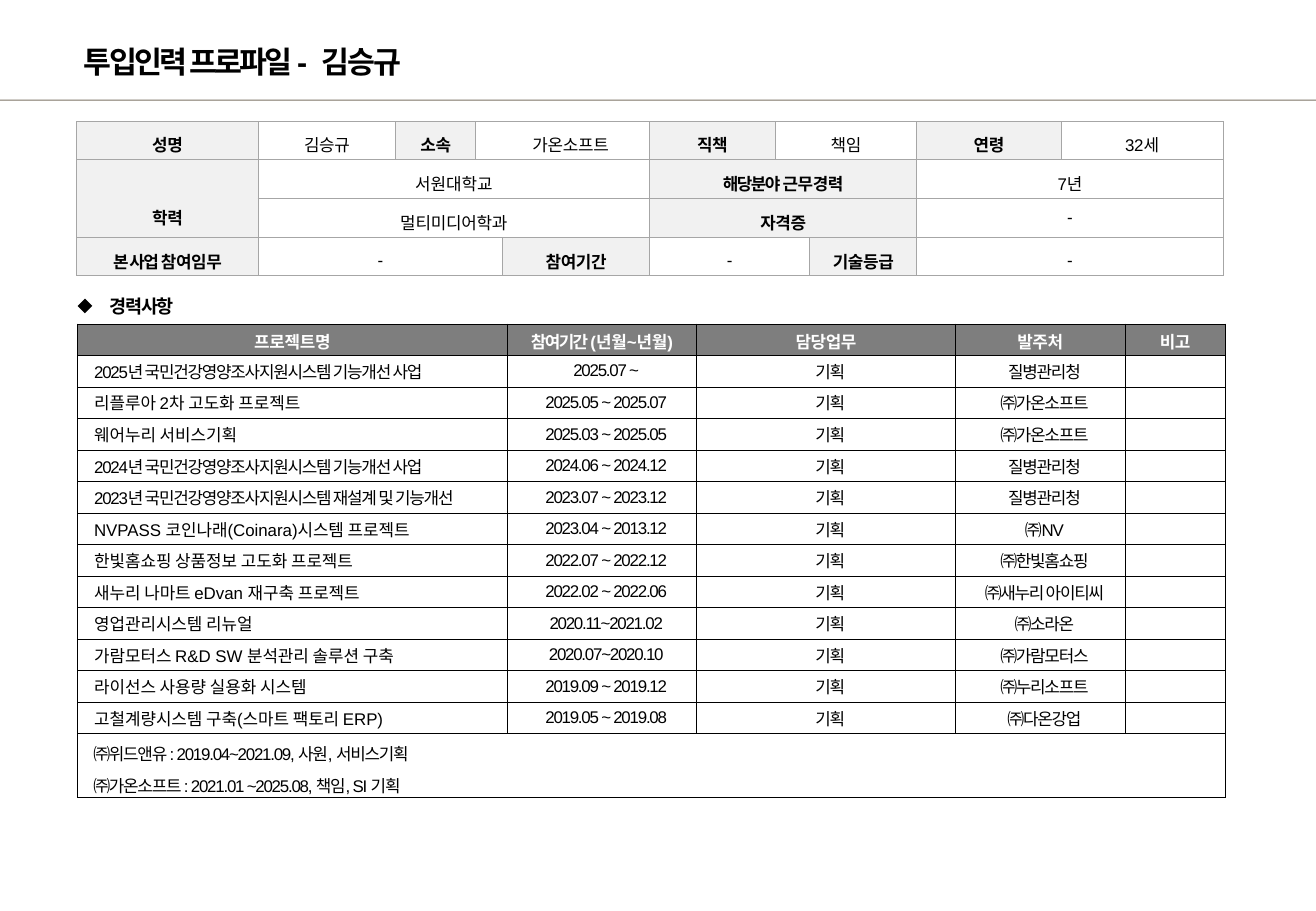
from lxml import etree
from pptx import Presentation, util as u
from pptx.dml.color import RGBColor
from pptx.enum import shapes, text
from pptx.oxml.ns import qn

BLACK = RGBColor(0, 0, 0)
WHITE = RGBColor(255, 255, 255)
RULE = RGBColor(0x7B, 0x73, 0x64)
LABEL = RGBColor(0xF1, 0xF1, 0xF1)
HEAD = RGBColor(0x7E, 0x7E, 0x7E)
EDGE = RGBColor(0xA6, 0xA6, 0xA6)

# Runs are (text, letter spacing in points)
TITLE = [("투입인력 프로파일 ", -1.6), ("- ", 1.6), ("김승규", -0.9)]
SECTION = [("경력사항", -0.7)]

# Each row alternates label and value: (runs, columns spanned)
PERSON = [
    [([("성명", -0.2)], 1), ([("김승규", -0.2)], 1),
     ([("소속", -0.2)], 1), ([("가온소프트", -0.1)], 2),
     ([("직책", -0.2)], 1), ([("책임", -0.2)], 2),
     ([("연령", -0.2)], 1), ([("32세", -0.2)], 1)],
    [([("학력", -0.2)], 1), ([("서원대학교", 0)], 4),
     ([("해당분야 ", -0.9), ("근무경력", -0.2)], 3), ([("7년", -0.8)], 2)],
    [([], 1), ([("멀티미디어학과", -0.1)], 4),
     ([("자격증", -0.2)], 3), ([("-", 0)], 2)],
    [([("본 사업 ", -0.9), ("참여임무", -0.2)], 1), ([("-", 0)], 3),
     ([("참여기간", -0.2)], 1), ([("-", 0)], 2),
     ([("기술등급", -0.2)], 1), ([("-", 0)], 2)],
]
PERSON_COLS = [107.5, 81.5, 47.5, 16, 87, 74.5, 20.5, 63.5, 85.5, 96]
PERSON_ROWS = [22.5, 23, 23.5, 22.5]

HEADS = [
    [("프로젝트명", -0.1)],
    [("참여기간 ", -0.9), ("(년월~년월)", -0.1)],
    [("담당업무", -0.2)], [("발주처", -0.2)], [("비고", -0.2)],
]
DUTY = "기획"
JOBS = [
    ("2025년 국민건강영양조사지원시스템 기능개선 사업", "2025.07 ~", "질병관리청"),
    ("리플루아 2차 고도화 프로젝트", "2025.05 ~ 2025.07", "㈜가온소프트"),
    ("웨어누리 서비스기획", "2025.03 ~ 2025.05", "㈜가온소프트"),
    ("2024년 국민건강영양조사지원시스템 기능개선 사업", "2024.06 ~ 2024.12", "질병관리청"),
    ("2023년 국민건강영양조사지원시스템 재설계 및 기능개선", "2023.07 ~ 2023.12", "질병관리청"),
    ("NVPASS 코인나래(Coinara)시스템 프로젝트", "2023.04 ~ 2013.12", "㈜NV"),
    ("한빛홈쇼핑 상품정보 고도화 프로젝트", "2022.07 ~ 2022.12", "㈜한빛홈쇼핑"),
    ("새누리 나마트 eDvan 재구축 프로젝트", "2022.02 ~ 2022.06", "㈜새누리 아이티씨"),
    ("영업관리시스템 리뉴얼", "2020.11~2021.02", "㈜소라온"),
    ("가람모터스 R&D SW 분석관리 솔루션 구축", "2020.07~2020.10", "㈜가람모터스"),
    ("라이선스 사용량 실용화 시스템", "2019.09 ~ 2019.12", "㈜누리소프트"),
    ("고철계량시스템 구축(스마트 팩토리 ERP)", "2019.05 ~ 2019.08", "㈜다온강업"),
]
CAREER = [
    "㈜위드앤유 : 2019.04~2021.09, 사원, 서비스기획",
    "㈜가온소프트 : 2021.01 ~2025.08, 책임, SI 기획",
]
JOB_COLS = [255, 112, 153.5, 100.5, 59.5]
JOB_ROWS = [18.7] * (len(JOBS) + 1) + [37.4]

LEFT, MID = text.PP_ALIGN.LEFT, text.PP_ALIGN.CENTER
TOP, CORE, BASE = (text.MSO_ANCHOR.TOP, text.MSO_ANCHOR.MIDDLE,
                   text.MSO_ANCHOR.BOTTOM)


def format_all(item, **values):
    for name, value in values.items():
        setattr(item, name, value)


def write(para, runs, size=10, bold=False, color=BLACK, align=LEFT):
    para.alignment = align
    for words, gap in runs:
        run = para.add_run()
        run.text = words
        format_all(run.font, name="Arial", size=u.Pt(size), bold=bold)
        run.font.color.rgb = color
        run._r.get_or_add_rPr().set("spc", str(round(gap * 100)))
    if not runs:
        para._p.get_or_add_endParaRPr().set("sz", str(size * 100))


def dress(cell, runs, fill=None, inset=(0, 0, 0, 0), anchor=CORE, **style):
    """Fill and write a cell; inset is left, top, right, bottom."""
    for side, gap in zip(("left", "top", "right", "bottom"), inset):
        setattr(cell, "margin_" + side, u.Pt(gap))
    cell.vertical_anchor = anchor
    if fill is None:
        cell.fill.background()
    else:
        cell.fill.solid()
        cell.fill.fore_color.rgb = fill
    write(cell.text_frame.paragraphs[0], runs, **style)


def make_grid(slide, left, top, cols, rows, edge, width):
    """Add a plain table whose cells all have the same border."""
    grid = slide.shapes.add_table(
        len(rows), len(cols), u.Pt(left), u.Pt(top),
        u.Pt(sum(cols)), u.Pt(sum(rows))).table
    format_all(grid, first_row=False, horz_banding=False)
    for col, size in zip(grid.columns, cols):
        col.width = u.Pt(size)
    for row, size in zip(grid.rows, rows):
        row.height = u.Pt(size)
    for cell in grid.iter_cells():
        props = cell._tc.get_or_add_tcPr()
        for side in "LRTB":
            line = etree.SubElement(props, qn("a:ln" + side), w=str(u.Pt(width)))
            paint = etree.SubElement(line, qn("a:solidFill"))
            etree.SubElement(paint, qn("a:srgbClr"), val=str(edge))
        dress(cell, [])
    return grid


def add_solid(slide, kind, box, color):
    shape = slide.shapes.add_shape(kind, *map(u.Pt, box))
    shape.shadow.inherit = False
    shape.fill.solid()
    shape.fill.fore_color.rgb = color
    shape.line.fill.background()


def set_text(shape, box, runs, size):
    for name, value in zip(("left", "top", "width", "height"), box):
        setattr(shape, name, u.Pt(value))
    frame = shape.text_frame
    format_all(frame, margin_left=u.Pt(0.7), margin_top=u.Pt(0.7),
               margin_right=0, margin_bottom=0, word_wrap=False,
               auto_size=text.MSO_AUTO_SIZE.NONE, vertical_anchor=TOP)
    write(frame.paragraphs[0], runs, size, True)


def add_person(slide):
    grid = make_grid(slide, 45.5, 72, PERSON_COLS, PERSON_ROWS, EDGE, 0.5)
    for r, row in enumerate(PERSON):
        c = 0
        for i, (runs, span) in enumerate(row):
            cell = grid.cell(r, c)
            label = i % 2 == 0
            look = dict(inset=(0, 5, 0, 0), anchor=CORE)
            if (r, i) == (0, 3):
                look["inset"] = (9.5, 5, 0, 0)
            elif (r, i) == (1, 0):
                look = dict(inset=(0, 0, 0, 5), anchor=BASE)
            elif (r, i) == (2, 3):
                look["inset"] = (0, 0, 0, 0)
            if runs:
                dress(cell, runs, LABEL if label else None, bold=label,
                      align=MID, **look)
            if span > 1:
                cell.merge(grid.cell(r, c + span - 1))
            c += span
    grid.cell(1, 0).merge(grid.cell(2, 0))


def add_jobs(slide):
    grid = make_grid(slide, 45.8, 192, JOB_COLS, JOB_ROWS, BLACK, 0.25)
    for c, runs in enumerate(HEADS):
        dress(grid.cell(0, c), runs, HEAD, (0, 3, 0, 0), TOP,
              bold=True, color=WHITE, align=MID)
    for r, (name, dates, client) in enumerate(JOBS, 1):
        for c, words in enumerate((name, dates, DUTY, client)):
            tight = c > 0 or name.startswith("20")
            dress(grid.cell(r, c), [(words, -0.7 if tight else 0)],
                  inset=(10, 0, 5, 0), align=MID if c else LEFT)
    last = len(JOB_ROWS) - 1
    cell = grid.cell(last, 0)
    cell.merge(grid.cell(last, len(JOB_COLS) - 1))
    dress(cell, [(CAREER[0], -0.7)], inset=(9.5, 4.3, 0, 0), anchor=TOP)
    for words in CAREER[1:]:
        para = cell.text_frame.add_paragraph()
        para.space_before = u.Pt(4.7)
        write(para, [(words, -0.7)])


def main():
    deck = Presentation()
    format_all(deck, slide_width=u.Pt(780), slide_height=u.Pt(540))
    slide = deck.slides.add_slide(deck.slide_layouts[5])
    kinds = shapes.MSO_SHAPE
    add_solid(slide, kinds.RECTANGLE, (0, 59, 780, 0.7), RULE)
    set_text(slide.shapes.title, (49, 25, 250, 23), TITLE, 18)
    add_person(slide)
    add_jobs(slide)
    box = slide.shapes.add_textbox(0, 0, 0, 0)
    set_text(box, (64, 174, 40.5, 14.5), SECTION, 11)
    add_solid(slide, kinds.DIAMOND, (46, 177, 8.7, 8.7), BLACK)
    deck.save("out.pptx")


if __name__ == "__main__":
    main()
